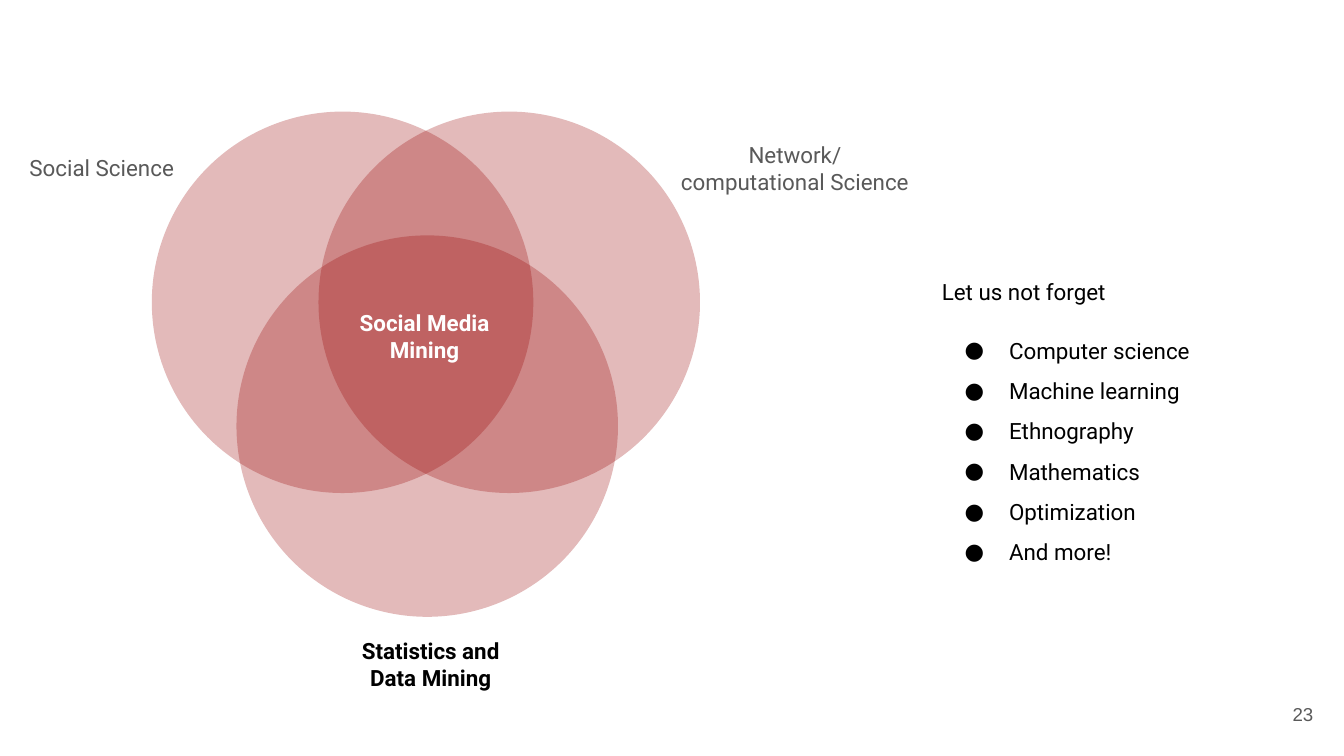
from dataclasses import dataclass
from lxml.etree import SubElement
from pptx import Presentation
from pptx.dml.color import RGBColor as Rgb
from pptx.enum.shapes import MSO_SHAPE as Shape
from pptx.enum.text import MSO_ANCHOR as Anchor, PP_ALIGN as Align
from pptx.oxml.ns import qn
from pptx.util import Cm, Pt


@dataclass(frozen=True)
class Theme:
    disc: str = "980000"
    alpha: int = 27
    gray: str = "595959"
    black: str = "000000"
    white: str = "FFFFFF"
    font: str = "Roboto"
    plain: str = "Arial"
    body: int = 12
    small: int = 10


look = Theme()

# Content: places are left, top, width, height in cm
size = 7.21
discs = [(2.87, 2.11), (6.02, 2.11), (4.47, 4.45)]
labels = [
    ("Social Science", (0.3, 2.72, 3.25, 0.91), look.gray, False),
    ("Network/computational Science", (12.6, 2.72, 4.85, 0.91), look.gray, False),
    ("Statistics and Data Mining", (6.22, 12.09, 3.84, 0.91), look.black, True),
    ("Social Media Mining", (6.4, 5.74, 3.25, 1.22), look.white, True),
]
page = ("23", (23.55, 12.95, 1.52, 1.09))
head = "Let us not forget"
items = ["Computer science", "Machine learning", "Ethnography",
         "Mathematics", "Optimization", "And more!"]
area = (17.55, 4.75, 6.99, 7.95)

deck = Presentation()
deck.slide_width, deck.slide_height = Cm(25.4), Cm(14.29)
slide = deck.slides.add_slide(deck.slide_layouts[6])


def add_box(place, anchor=Anchor.MIDDLE):
    frame = slide.shapes.add_textbox(*map(Cm, place)).text_frame
    frame.word_wrap = True
    frame.vertical_anchor = anchor
    frame.margin_left = frame.margin_right = Cm(0.25)
    frame.margin_top = frame.margin_bottom = Cm(0.25)
    return frame


def style(para, color, bold=False, font=look.font, pts=look.body):
    for run in para.runs:
        run.font.name, run.font.size, run.font.bold = font, Pt(pts), bold
        run.font.color.rgb = Rgb.from_string(color)


def add_label(text, place, color, bold=False, align=Align.CENTER, **kind):
    frame = add_box(place)
    frame.text = text
    para = frame.paragraphs[0]
    para.alignment = align
    style(para, color, bold, **kind)


def add_dot(para):
    props = para._p.get_or_add_pPr()
    props.set("marL", str(Cm(1.27)))
    props.set("indent", str(-Cm(0.84)))
    tint = SubElement(props, qn("a:buClr"))
    SubElement(tint, qn("a:srgbClr"), val=look.black)
    SubElement(props, qn("a:buFont"), typeface=look.font)
    SubElement(props, qn("a:buChar"), char="●")


# Overlapping discs
for left, top in discs:
    disc = slide.shapes.add_shape(Shape.OVAL, Cm(left), Cm(top), Cm(size), Cm(size))
    disc.shadow.inherit = False
    disc.line.fill.background()
    disc.fill.solid()
    disc.fill.fore_color.rgb = Rgb.from_string(look.disc)
    tint = disc._element.spPr.find(".//" + qn("a:srgbClr"))
    SubElement(tint, qn("a:alpha"), val=str(look.alpha * 1000))

# Labels and page number
for label in labels:
    add_label(*label)
add_label(*page, look.gray, align=Align.RIGHT, font=look.plain, pts=look.small)

# Bullet list
frame = add_box(area, Anchor.TOP)
frame.text = "\n".join([head] + items)
for row, para in enumerate(frame.paragraphs):
    para.line_spacing = 1.5
    para.space_before = Pt(10 if row == 1 else 0)
    if row:
        add_dot(para)
    style(para, look.black)

deck.save("out.pptx")
